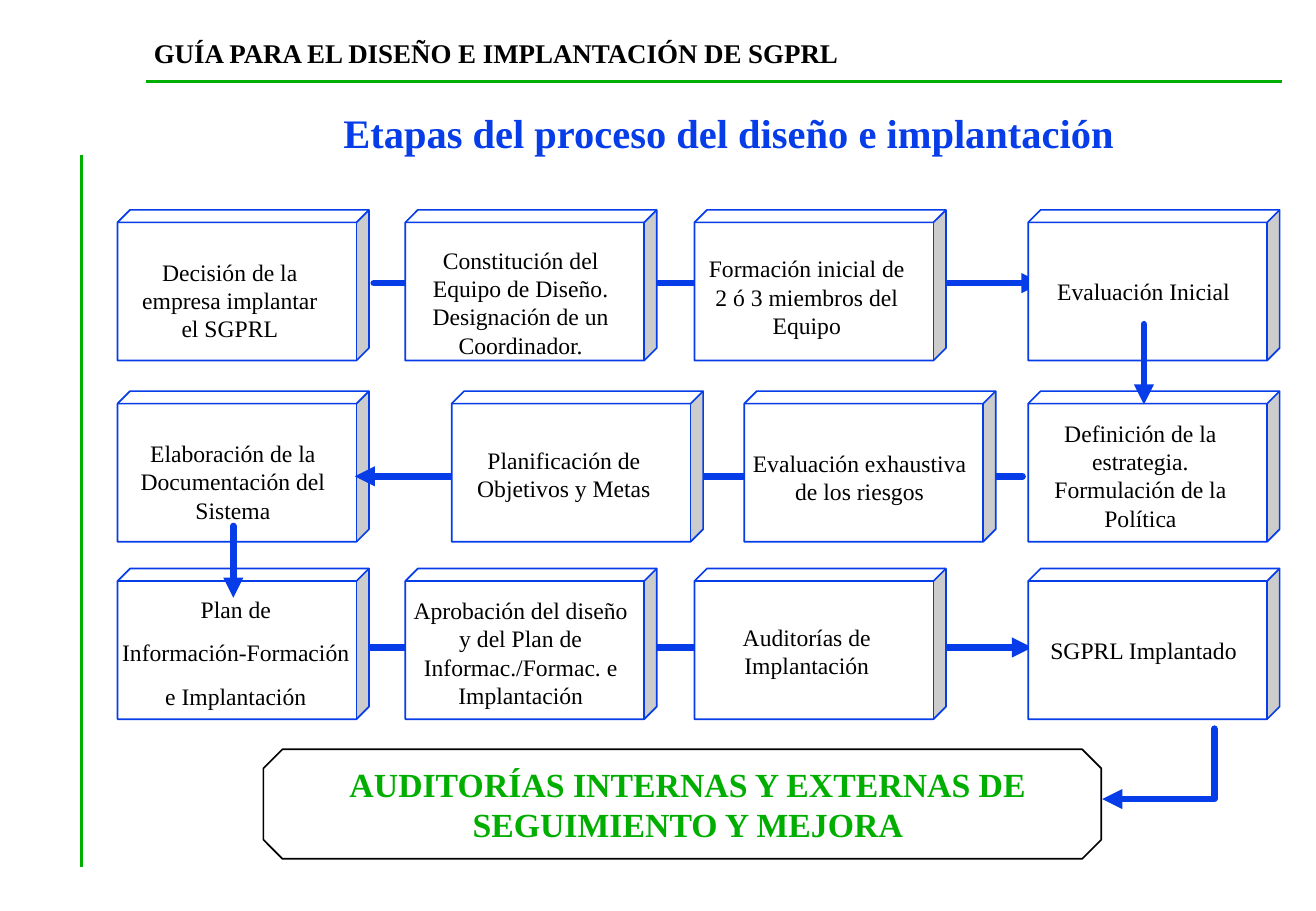
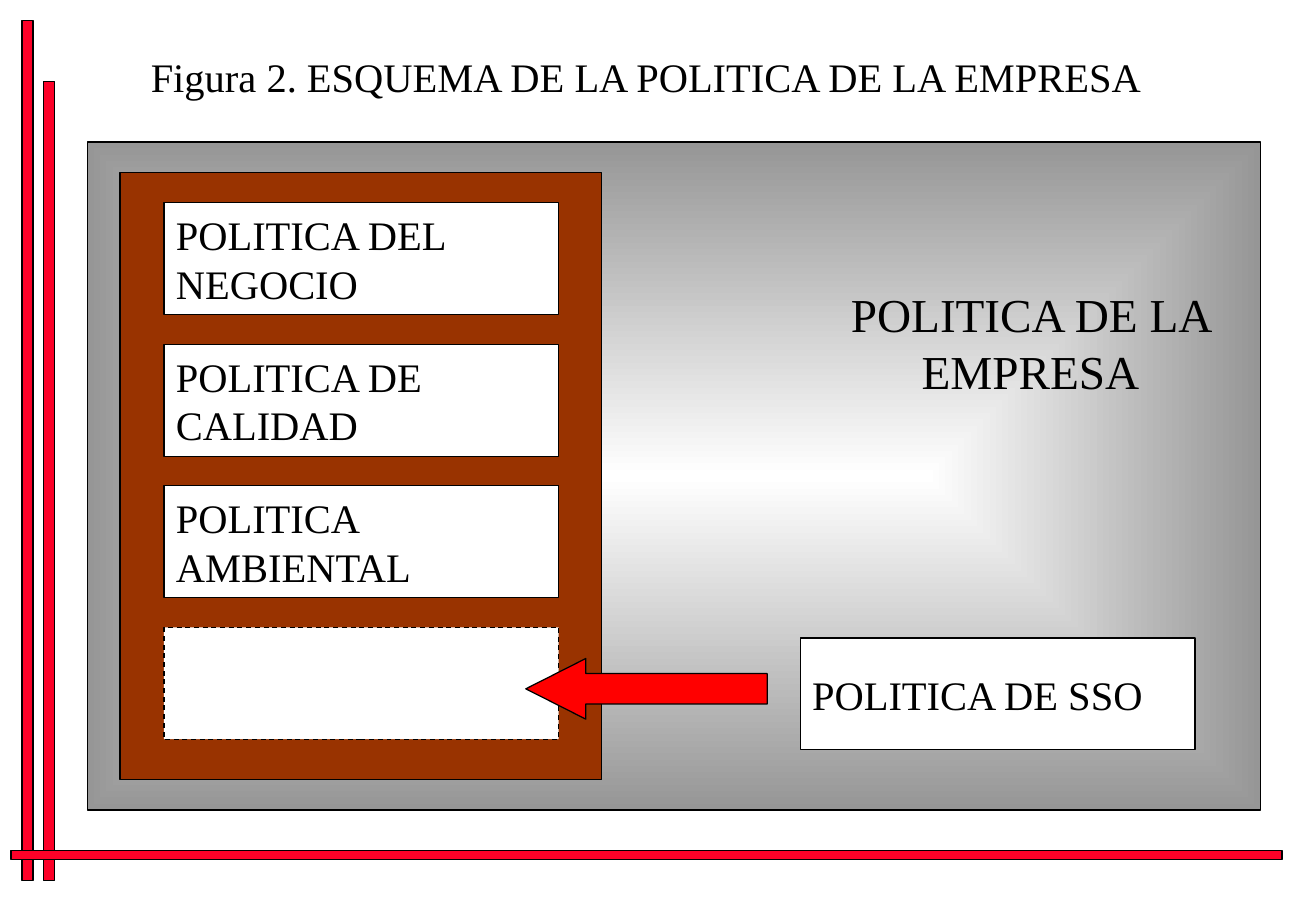
"""Build two slides on designing a prevention management system and its policy."""
import pptx
import pptx.dml.color
import pptx.enum.dml
import pptx.enum.shapes
import pptx.enum.text
import pptx.oxml
import pptx.oxml.ns
import pptx.util
from lxml import etree

Cm = pptx.util.Cm
Pt = pptx.util.Pt
RGBColor = pptx.dml.color.RGBColor
Shapes = pptx.enum.shapes.MSO_SHAPE
Align = pptx.enum.text.PP_ALIGN
qn = pptx.oxml.ns.qn

FONT = "Times New Roman"
BLACK = RGBColor(0x00, 0x00, 0x00)
WHITE = RGBColor(0xFF, 0xFF, 0xFF)
BLUE = RGBColor(0x06, 0x3D, 0xE8)
GREEN = RGBColor(0x00, 0xAE, 0x00)
CRIMSON = RGBColor(0xFC, 0x01, 0x28)
RED = RGBColor(0xFF, 0x00, 0x00)
BROWN = RGBColor(0x99, 0x33, 0x00)
GRAY = RGBColor(0x96, 0x96, 0x96)

TITLE_SIZE = 24
STEP_SIZE = 14
ARROW_WIDTH = 4
CUBE_WIDTH, CUBE_HEIGHT = 5.26, 3.15
FIRST, SECOND, THIRD, FOURTH = 2.46, 8.48, 14.53, 21.51
ROW_1, ROW_2, ROW_3 = 4.39, 8.18, 11.89
WIDE, NARROW, FULL = (0.03, 0.2), (0.28, 0.58), (0, 0.05)

ROW_STARTS = [
    (FIRST, ROW_1, "Decisión de la empresa implantar el SGPRL", NARROW, 0.36),
    (FIRST, ROW_2, "Elaboración de la Documentación del Sistema", WIDE, 0.36),
]
STEPS = [
    (SECOND, ROW_1, "Constitución del Equipo de Diseño. Designación de un Coordinador.", WIDE, 0.45),
    (THIRD, ROW_1, "Formación inicial de 2 ó 3 miembros del Equipo", NARROW, 0.22),
    (FOURTH, ROW_1, "Evaluación Inicial", WIDE, 0),
    (FOURTH, ROW_2, "Definición de la estrategia. Formulación de la Política", NARROW, 0.1),
    (15.57, ROW_2, "Evaluación exhaustiva de los riesgos", WIDE, 0.18),
    (9.45, ROW_2, "Planificación de Objetivos y Metas", NARROW, 0.05),
    (FIRST, ROW_3, "Plan de\nInformación-Formación\ne Implantación", FULL, 0.1),
    (SECOND, ROW_3, "Aprobación del diseño y del Plan de Informac./Formac. e Implantación", WIDE, 0.1),
    (THIRD, ROW_3, "Auditorías de Implantación", NARROW, 0.05),
    (FOURTH, ROW_3, "SGPRL Implantado", WIDE, 0),
]
ROW_ARROWS = [
    (7.82, 5.92, 21.79, 5.92),
    (21.39, 9.96, 7.42, 9.96),
    (7.62, 13.54, 21.59, 13.54),
]
DOWN_ARROWS = [(23.93, 6.78, 23.93, 8.46), (4.88, 11, 4.88, 12.5)]
FRAME_BARS = [
    (0.46, 0.43, 0.23, 17.98),
    (0.91, 1.7, 0.23, 16.71),
    (0.23, 17.78, 26.59, 0.2),
]
POLICIES = ["POLITICA DEL NEGOCIO", "POLITICA DE CALIDAD", "POLITICA AMBIENTAL", ""]
POLICY_LEFT, POLICY_TOP, POLICY_PITCH = 3.43, 4.24, 2.96
POLICY_WIDTH, POLICY_HEIGHT = 8.26, 2.34


def lengths(values):
    """Turn numbers in centimetres into lengths."""
    return [Cm(value) for value in values]


def write(shape, text, size, color=BLACK, bold=False, align=Align.LEFT):
    """Put formatted, vertically centred text in a shape."""
    frame = shape.text_frame
    frame.text = text
    frame.word_wrap = True
    frame.auto_size = pptx.enum.text.MSO_AUTO_SIZE.NONE
    frame.vertical_anchor = pptx.enum.text.MSO_ANCHOR.MIDDLE
    for index, paragraph in enumerate(frame.paragraphs):
        paragraph.alignment = align
        paragraph.space_before = Pt(8.8 if index else 0)
        for run in paragraph.runs:
            run.font.name = FONT
            run.font.size = Pt(size)
            run.font.bold = bold
            run.font.color.rgb = color


def add_title_slide(presentation, title, bounds, **style):
    """Add a slide whose title placeholder is moved and formatted."""
    slide = presentation.slides.add_slide(presentation.slide_layouts[5])
    shape = slide.shapes.title
    shape.left, shape.top, shape.width, shape.height = lengths(bounds)
    write(shape, title, TITLE_SIZE, **style)
    return slide


def add_label(slide, bounds, text, size, **style):
    """Add a text box."""
    write(slide.shapes.add_textbox(*lengths(bounds)), text, size, **style)


def add_box(slide, kind, bounds, fill=WHITE, line=BLACK, width=0.75):
    """Add a filled and outlined preset shape."""
    shape = slide.shapes.add_shape(kind, *lengths(bounds))
    shape.shadow.inherit = False
    shape.fill.solid()
    shape.fill.fore_color.rgb = fill
    shape.line.color.rgb = line
    shape.line.width = Pt(width)
    return shape


def add_line(slide, ends, color, width):
    """Add a straight connector without shadow."""
    straight = pptx.enum.shapes.MSO_CONNECTOR.STRAIGHT
    connector = slide.shapes.add_connector(straight, *lengths(ends))
    connector.line.color.rgb = color
    connector.line.width = Pt(width)
    etree.SubElement(connector._element.spPr, qn("a:effectLst"))
    return connector


def add_arrowhead(shape):
    """Give a line round caps and a triangle at its end."""
    line = shape.line._get_or_add_ln()
    line.set("cap", "rnd")
    etree.SubElement(line, qn("a:round"))
    etree.SubElement(line, qn("a:tailEnd"), type="triangle")


def add_arrow(slide, ends):
    """Add a straight blue arrow."""
    add_arrowhead(add_line(slide, ends, BLUE, ARROW_WIDTH))


def add_bent_arrow(slide, points):
    """Add a blue arrow that follows a series of points."""
    start, *others = [lengths(point) for point in points]
    builder = slide.shapes.build_freeform(*start)
    builder.add_line_segments(others, close=False)
    shape = builder.convert_to_shape()
    shape.shadow.inherit = False
    shape.fill.background()
    shape.line.color.rgb = BLUE
    shape.line.width = Pt(ARROW_WIDTH)
    add_arrowhead(shape)


def add_step(slide, left, top, text, side_margins, top_margin):
    """Add a cube with the text of one stage."""
    bounds = (left, top, CUBE_WIDTH, CUBE_HEIGHT)
    cube = add_box(slide, Shapes.CUBE, bounds, line=BLUE, width=1)
    cube.adjustments[0] = 0.083
    write(cube, text, STEP_SIZE, align=Align.CENTER)
    frame = cube.text_frame
    frame.margin_left, frame.margin_right = lengths(side_margins)
    frame.margin_top, frame.margin_bottom = Cm(top_margin), 0


def add_policy(slide, left, top, text):
    """Add a policy box, dashed when it is still empty."""
    box = add_box(slide, Shapes.RECTANGLE, (left, top, POLICY_WIDTH, POLICY_HEIGHT))
    if text:
        write(box, text, TITLE_SIZE)
    else:
        box.line.dash_style = pptx.enum.dml.MSO_LINE.DASH


def fill_from_centre(shape, inner, outer):
    """Fill a shape with a rectangular gradient around its centre."""
    shape.fill.gradient()
    for stop, color in zip(shape.fill.gradient_stops, (inner, outer)):
        stop.color.rgb = color
    gradient = shape._element.spPr.find(qn("a:gradFill"))
    gradient.remove(gradient.find(qn("a:lin")))
    rectangle = etree.SubElement(gradient, qn("a:path"))
    rectangle.set("path", "rect")
    sides = dict.fromkeys("ltrb", "50000")
    etree.SubElement(rectangle, qn("a:fillToRect"), sides)


def build_stages(presentation):
    """Build the flow of stages."""
    slide = add_title_slide(
        presentation, "Etapas del proceso del diseño e implantación",
        (4.45, 2.13, 21.59, 1.27), color=BLUE, bold=True, align=Align.CENTER)
    add_line(slide, (1.7, 3.25, 1.7, 18.14), GREEN, 2)
    add_line(slide, (3.05, 1.7, 26.82, 1.7), GREEN, 2)
    add_label(slide, (2.97, 0.64, 24.13, 0.91),
              "GUÍA PARA EL DISEÑO E IMPLANTACIÓN DE SGPRL", 16, bold=True)
    for step in ROW_STARTS:
        add_step(slide, *step)
    for ends in ROW_ARROWS:
        add_arrow(slide, ends)
    for step in STEPS:
        add_step(slide, *step)
    audits = add_box(slide, Shapes.OCTAGON, (5.51, 15.67, 17.53, 2.29), width=1)
    audits.adjustments[0] = 0.175
    write(audits, "AUDITORÍAS INTERNAS Y EXTERNAS DE SEGUIMIENTO Y MEJORA", 20,
          color=GREEN, bold=True, align=Align.CENTER)
    audits.text_frame.margin_left = Cm(0.48)
    for ends in DOWN_ARROWS:
        add_arrow(slide, ends)
    add_bent_arrow(slide, [(25.4, 15.24), (25.4, 16.71), (23.06, 16.71)])


def build_policy(presentation):
    """Build the scheme of the company policy."""
    slide = add_title_slide(
        presentation, "Figura 2. ESQUEMA DE LA POLITICA DE LA EMPRESA",
        (2.9, 0.97, 21.41, 1.27))
    slide.shapes.title.text_frame.word_wrap = False
    for bounds in FRAME_BARS:
        add_box(slide, Shapes.RECTANGLE, bounds, CRIMSON)
    panel = add_box(slide, Shapes.RECTANGLE, (1.83, 2.97, 24.54, 13.97))
    fill_from_centre(panel, WHITE, GRAY)
    add_box(slide, Shapes.RECTANGLE, (2.51, 3.61, 10.08, 12.7), BROWN)
    for index, text in enumerate(POLICIES):
        add_policy(slide, POLICY_LEFT, POLICY_TOP + index * POLICY_PITCH, text)
    arrow = add_box(slide, Shapes.LEFT_ARROW, (11, 13.77, 5.05, 1.27), RED)
    arrow.adjustments[1] = 0.99
    add_policy(slide, 16.74, 13.34, "POLITICA DE SSO")
    add_label(slide, (16.97, 5.84, 9.17, 2.64), "POLITICA DE LA EMPRESA", 28,
              align=Align.CENTER)


def main():
    """Build and save the presentation."""
    presentation = pptx.Presentation()
    presentation.slide_width, presentation.slide_height = lengths((27.53, 19.05))
    build_stages(presentation)
    build_policy(presentation)
    presentation.save("out.pptx")


if __name__ == "__main__":
    main()
